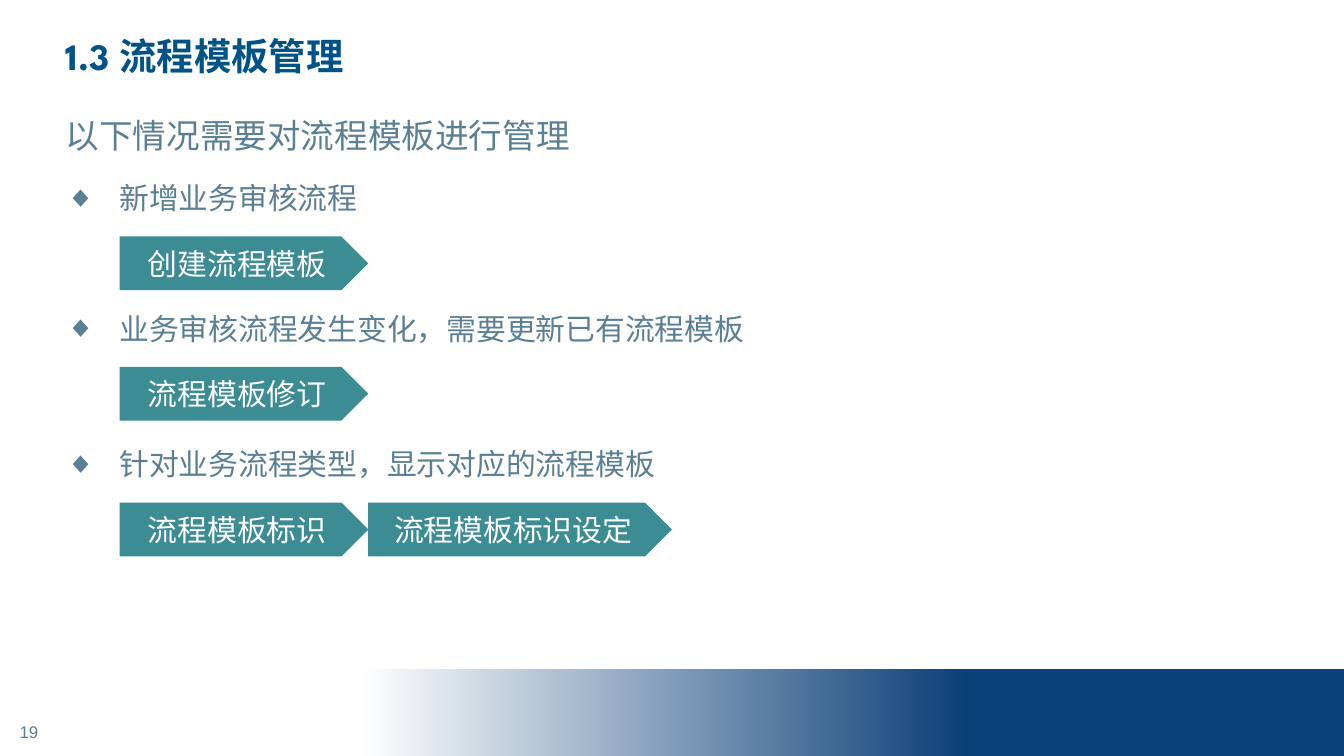
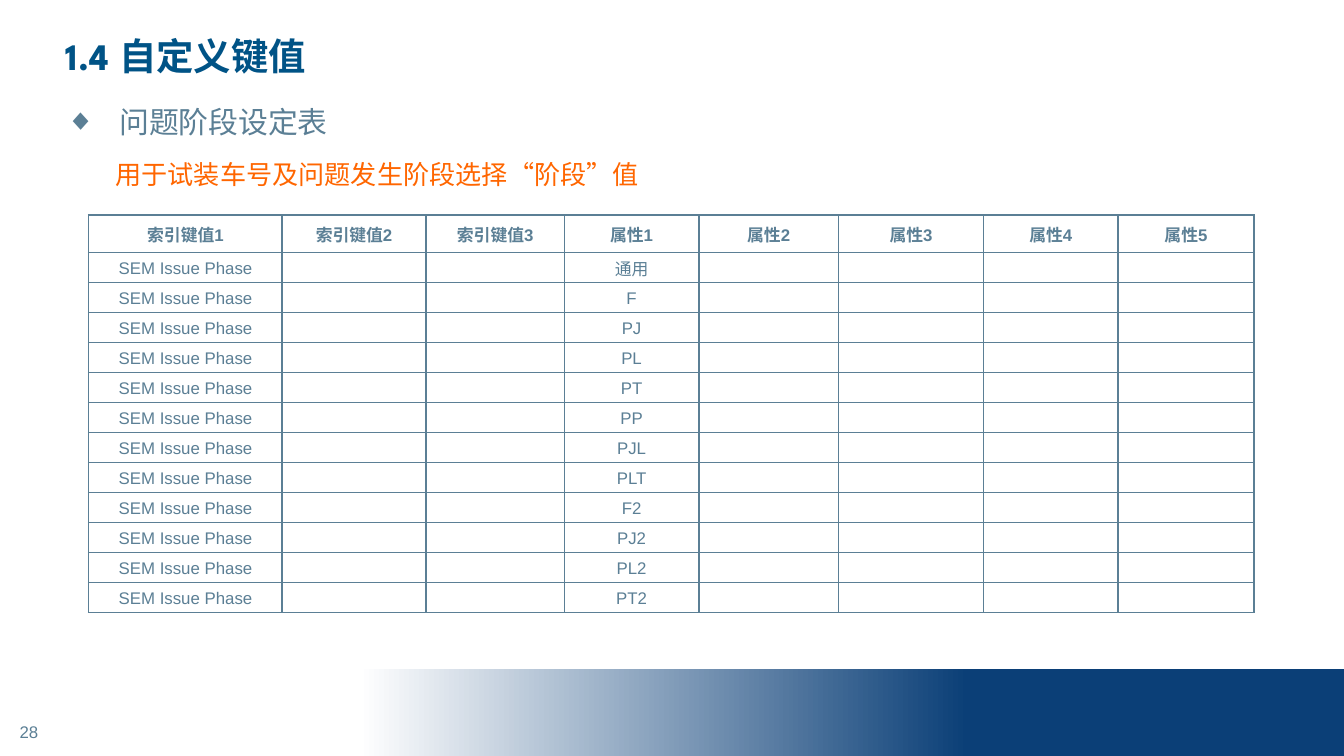
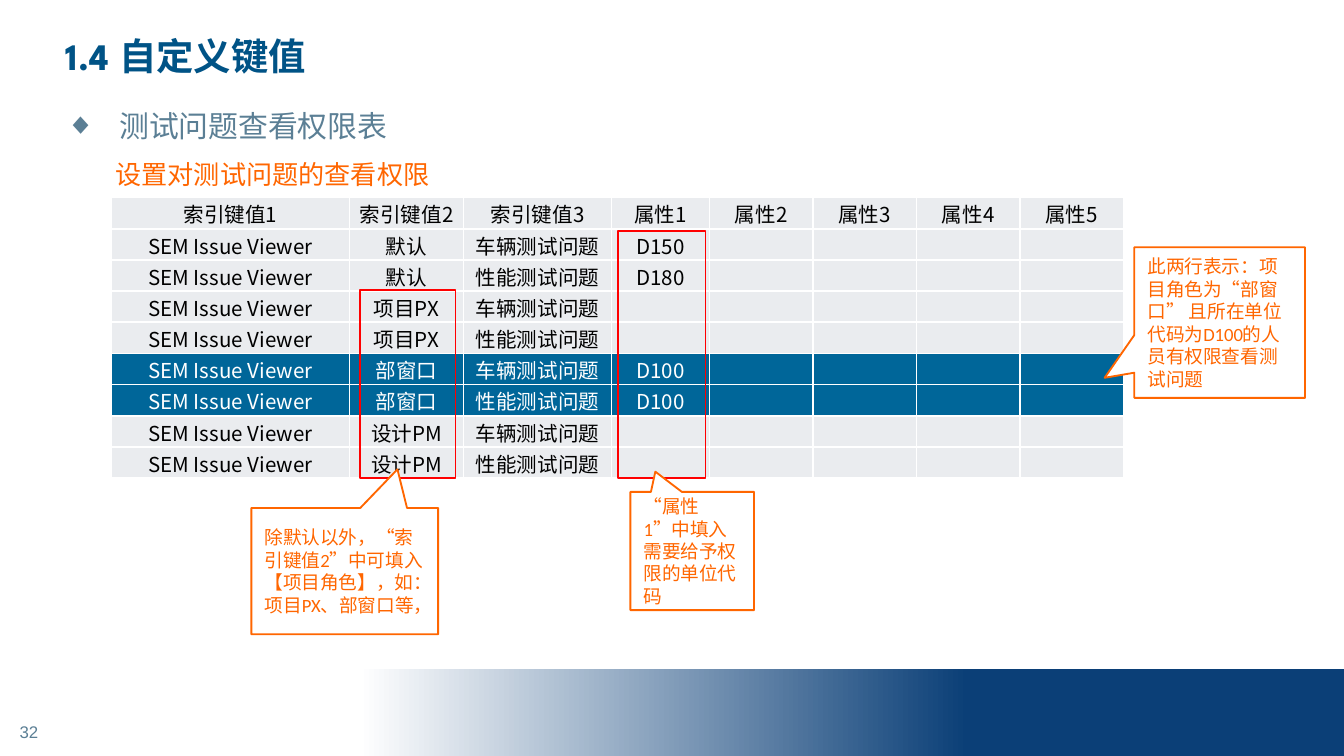
"""Build three slides on process templates and custom key values."""
import dataclasses

import pptx
import pptx.dml.color
import pptx.enum.dml
import pptx.enum.shapes
import pptx.enum.text
import pptx.oxml
import pptx.oxml.ns
import pptx.util
from lxml import etree

Inches = pptx.util.Inches
Pt = pptx.util.Pt
FORMS = pptx.enum.shapes.MSO_SHAPE
ALIGN = pptx.enum.text.PP_ALIGN
MIDDLE = pptx.enum.text.MSO_ANCHOR.MIDDLE
FIT = pptx.enum.text.MSO_AUTO_SIZE
qn = pptx.oxml.ns.qn


@dataclasses.dataclass(frozen=True)
class Theme:
    """Colours, fonts and type sizes."""
    title: str = "005386"
    slate: str = "5B7F95"
    teal: str = "3C8C93"
    navy: str = "0B3F77"
    orange: str = "FF6600"
    red: str = "FF0000"
    white: str = "FFFFFF"
    black: str = "000000"
    pale: str = "EAECEF"
    blue: str = "006699"
    head: str = "League Spartan"
    sans: str = "Arial"
    note: str = "Calibri"
    cjk: str = "Noto Sans CJK SC"
    big: int = 20
    lead: int = 18
    body: int = 16
    sub: int = 14
    grid: int = 11
    call: int = 10
    small: int = 9


T = Theme()

INTRO = "以下情况需要对流程模板进行管理"
STEPS = [
    (1.29, "新增业务审核流程", [("创建流程模板", 1.85)]),
    (2.26, "业务审核流程发生变化，需要更新已有流程模板", [("流程模板修订", 1.85)]),
    (3.27, "针对业务流程类型，显示对应的流程模板",
     [("流程模板标识", 1.85), ("流程模板标识设定", 2.26)]),
]
KEYS = [f"索引键值{n}" for n in range(1, 4)] + [f"属性{n}" for n in range(1, 6)]
PHASES = ["通用", "F", "PJ", "PL", "PT", "PP", "PJL", "PLT", "F2", "PJ2", "PL2", "PT2"]
ROLES = [("默认", ("D150", "D180")), ("项目PX", ("", "")),
         ("部窗口", ("D100", "D100")), ("设计PM", ("", ""))]
KINDS = ("车辆测试问题", "性能测试问题")
MARKED = "部窗口"
FRAMES = [(4.6, 1.72, 0.65, 1.84), (2.68, 2.16, 0.71, 1.4)]
NOTES = [
    ((1.87, 3.78, 1.39, 0.94), (0.282, -0.806),
     "除默认以外，“索引键值2”中可填入【项目角色】，如：项目PX、部窗口等，"),
    ((4.69, 3.66, 0.92, 0.88), (-0.298, -0.671),
     "“属性1”中填入需要给予权限的单位代码"),
    ((8.44, 1.84, 1.27, 1.12), (-0.674, 0.367),
     "此两行表示：项目角色为“部窗口” 且所在单位代码为D100的人员有权限查看测试问题"),
]


def rgb(code):
    """Turn a hex code into a colour."""
    return pptx.dml.color.RGBColor.from_string(code)


def write(para, text, size, face, tint, bold=False):
    """Add one formatted run."""
    run = para.add_run()
    run.text = text
    font = run.font
    font.size, font.name, font.bold = Pt(size), face, bold
    font.color.rgb = rgb(tint)
    etree.SubElement(run._r.get_or_add_rPr(), qn("a:ea")).set("typeface", T.cjk)


def label(slide, box, text, size, face, tint, bullet=False, space=None):
    """Add a text box that grows with its text."""
    frame = slide.shapes.add_textbox(*map(Inches, box)).text_frame
    frame.word_wrap, frame.auto_size = True, FIT.SHAPE_TO_FIT_TEXT
    para = frame.paragraphs[0]
    if space:
        para.line_spacing = space
    if bullet:
        props = para._p.get_or_add_pPr()
        props.set("marL", str(Inches(0.4)))
        props.set("indent", str(Inches(-0.4)))
        etree.SubElement(props, qn("a:buFont")).set("typeface", T.sans)
        etree.SubElement(props, qn("a:buChar")).set("char", "◆")
    write(para, text, size, face, tint)
    return frame


def block(slide, form, box, fill=None, line=None):
    """Add a flat preset shape."""
    shape = slide.shapes.add_shape(form, *map(Inches, box))
    shape.shadow.inherit = False
    if fill:
        shape.fill.solid()
        shape.fill.fore_color.rgb = rgb(fill)
    else:
        shape.fill.background()
    if line:
        shape.line.color.rgb, shape.line.width = rgb(line), Pt(1)
    else:
        shape.line.fill.background()
    shape.text_frame.word_wrap = True
    shape.text_frame.vertical_anchor = MIDDLE
    return shape


def start(deck, name, page):
    """Add a slide with its title, page number and band."""
    slide = deck.slides.add_slide(deck.slide_layouts[5])
    title = slide.shapes.title
    title.left, title.top, title.width, title.height = map(Inches, (0.39, 0.16, 6.75, 0.51))
    frame = title.text_frame
    frame.vertical_anchor, frame.auto_size = MIDDLE, FIT.NONE
    frame.paragraphs[0].alignment = ALIGN.LEFT
    write(frame.paragraphs[0], name, T.big, T.head, T.title, True)

    band = block(slide, FORMS.RECTANGLE, (0.36, 4.98, 9.64, 0.65))
    band.fill.gradient()
    band.fill.gradient_angle = 0
    for stop, place, tint in zip(band.fill.gradient_stops, (0.24, 0.71), (T.white, T.navy)):
        stop.position, stop.color.rgb = place, rgb(tint)

    number = label(slide, (0, 5.25, 0.43, 0.39), str(page), T.small, T.sans, T.slate)
    number.auto_size, number.vertical_anchor = FIT.NONE, MIDDLE
    number.paragraphs[0].alignment = ALIGN.CENTER
    return slide


def topic(slide, top, name, hint):
    """Add the bulleted topic and the orange hint under it."""
    label(slide, (0.39, top, 7.38, 0.46), name, T.body, T.cjk, T.slate, True, 1.5)
    label(slide, (0.76, 1.13, 5.49, 0.34), hint, T.sub, T.sans, T.orange)


def edge(cell, tint):
    """Draw all four borders of a cell."""
    props = cell._tc.get_or_add_tcPr()
    for spot, side in enumerate(("lnL", "lnR", "lnT", "lnB")):
        line = pptx.oxml.parse_xml(
            f'<a:{side} {pptx.oxml.ns.nsdecls("a")} w="{Pt(1)}"><a:solidFill>'
            f'<a:srgbClr val="{tint}"/></a:solidFill></a:{side}>')
        props.insert(spot, line)


def grid(slide, left, top, cols, highs, rows, border, style):
    """Add a table; style gives size, face, tint, bold and fill for a row."""
    table = slide.shapes.add_table(
        len(rows), len(cols), *map(Inches, (left, top, sum(cols), sum(highs)))).table
    table.first_row = table.horz_banding = False
    for col, wide in zip(table.columns, cols):
        col.width = Inches(wide)
    for y, (row, high) in enumerate(zip(rows, highs)):
        table.rows[y].height = Inches(high)
        size, face, tint, bold, fill = style(y, row)
        for x, text in enumerate(row):
            cell = table.cell(y, x)
            cell.margin_left = cell.margin_right = cell.margin_top = Inches(0.01)
            cell.margin_bottom = 0
            cell.vertical_anchor = MIDDLE
            if fill:
                cell.fill.solid()
                cell.fill.fore_color.rgb = rgb(fill)
            else:
                cell.fill.background()
            edge(cell, border)
            para = cell.text_frame.paragraphs[0]
            para.alignment = ALIGN.CENTER
            if text:
                write(para, text, size, face, tint, bold)
            else:
                para._p.get_or_add_endParaRPr().set("sz", str(size * 100))


def steps(deck):
    """Build the template management slide."""
    slide = start(deck, "1.3 流程模板管理", 19)
    label(slide, (0.39, 0.81, 7.38, 0.4), INTRO, T.lead, T.cjk, T.slate)
    for top, text, tags in STEPS:
        label(slide, (0.39, top, 7.38, 0.37), text, T.body, T.cjk, T.slate, True)
        left = 0.89
        for tag, wide in tags:
            shape = block(slide, FORMS.PENTAGON, (left, top + 0.47, wide, 0.4), T.teal)
            para = shape.text_frame.paragraphs[0]
            para.alignment = ALIGN.CENTER
            write(para, tag, T.body, T.cjk, T.white)
            left += wide


def phases(deck):
    """Build the issue phase slide."""
    slide = start(deck, "1.4 自定义键值", 28)
    rows = [KEYS] + [["SEM Issue Phase", "", "", code] + [""] * 4 for code in PHASES]
    highs = [0.28] + [2.68 / len(PHASES)] * len(PHASES)
    grid(slide, 0.66, 1.6, (1.44, 1.07, 1.03, 1, 1.04, 1.08, 1, 1.01), highs, rows, T.slate,
         lambda y, row: (T.small, T.sans, T.slate, y == 0, None))
    topic(slide, 0.59, "问题阶段设定表", "用于试装车号及问题发生阶段选择“阶段”值")


def rights(deck):
    """Build the viewing rights slide."""
    slide = start(deck, "1.4 自定义键值", 32)
    topic(slide, 0.62, "测试问题查看权限表", "设置对测试问题的查看权限")
    rows = [KEYS] + [["SEM Issue Viewer", role, kind, code] + [""] * 4
                     for role, codes in ROLES for kind, code in zip(KINDS, codes)]

    def style(y, row):
        """Pick the look of a row."""
        tint, fill = (T.white, T.blue) if row[1] == MARKED else (T.black, T.pale)
        return T.grid, T.cjk, tint, False, fill

    grid(slide, 0.83, 1.47, (1.77, 0.85, 1.1, 0.73) + (0.77,) * 4,
         [2.09 / len(rows)] * len(rows), rows, T.white, style)
    for box in FRAMES:
        block(slide, FORMS.RECTANGLE, box, line=T.red)
    for box, tip, text in NOTES:
        shape = block(slide, FORMS.RECTANGULAR_CALLOUT, box, T.white, T.orange)
        shape.adjustments[0], shape.adjustments[1] = tip
        para = shape.text_frame.paragraphs[0]
        para.alignment = ALIGN.LEFT
        write(para, text, T.call, T.note, T.orange)


def main():
    """Build and save the deck."""
    deck = pptx.Presentation()
    deck.slide_width = Inches(10)
    deck.slide_height = deck.slide_width * 9 // 16
    for build in (steps, phases, rights):
        build(deck)
    deck.save("out.pptx")


if __name__ == "__main__":
    main()
